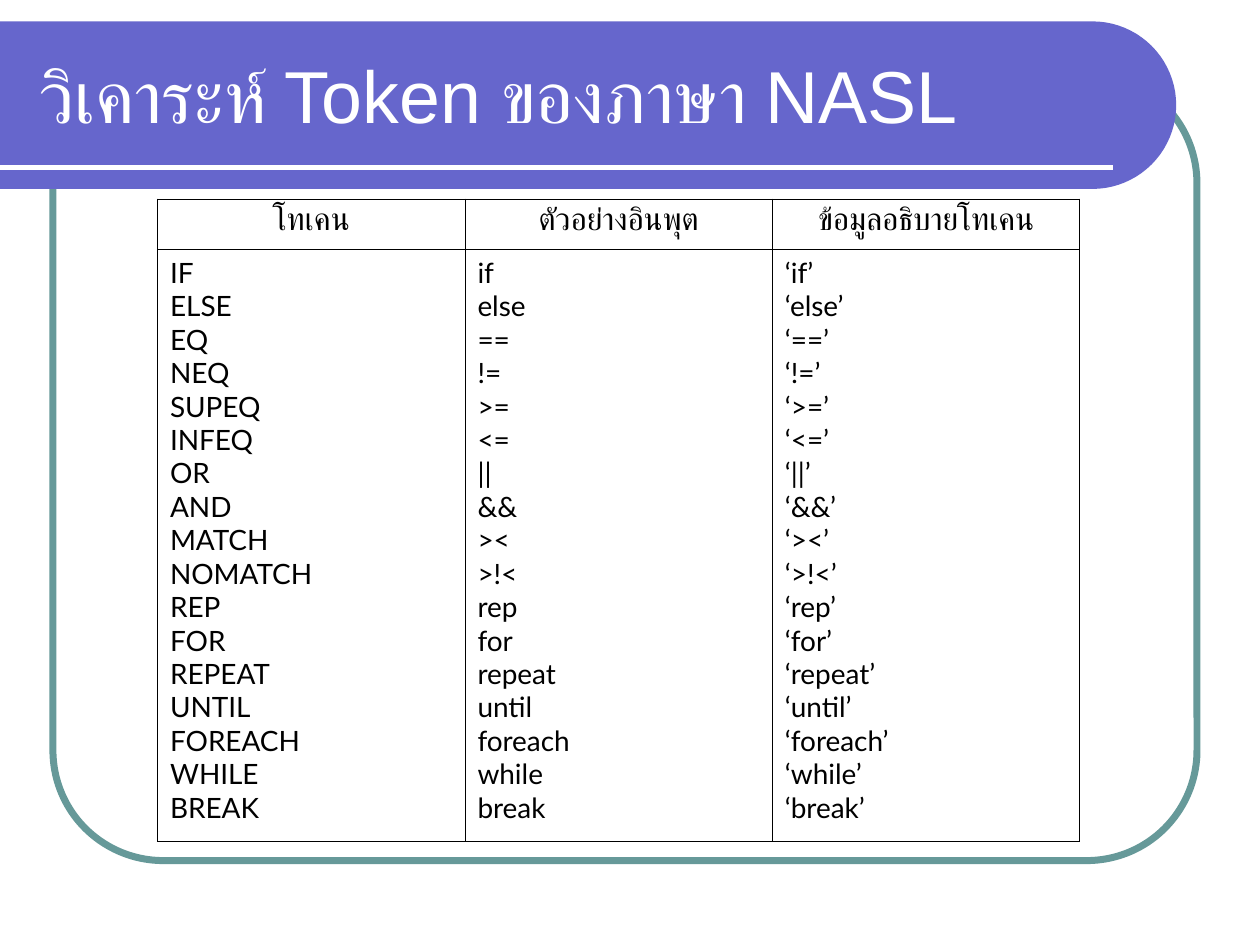
import math

import pptx
import pptx.dml.color
import pptx.enum.shapes
import pptx.enum.text
import pptx.oxml
import pptx.oxml.ns
import pptx.util

Inches = pptx.util.Inches
Pt = pptx.util.Pt


def paint(color_format, value):
    color_format.rgb = pptx.dml.color.RGBColor.from_string(value)


def write(para, text, size, face, color):
    span = para.add_run()
    span.text = text
    for name, value in {"size": Pt(size), "name": face, "bold": False}.items():
        setattr(span.font, name, value)
    paint(span.font.color, color)


deck = pptx.Presentation()
deck.slide_width, deck.slide_height = Inches(10), Inches(7.5)
page = deck.slides.add_slide(deck.slide_layouts[5])

# Rounded frame
frame = page.shapes.add_shape(
    pptx.enum.shapes.MSO_SHAPE.ROUNDED_RECTANGLE,
    Inches(0.42), Inches(0.58), Inches(9.08), Inches(6.25))
frame.adjustments[0] = 0.14
frame.shadow.inherit = False
frame.fill.background()
frame.line.width = Pt(4)
paint(frame.line.color, "669999")

# Banner with a half-round right end
top, bottom, bend = 0.17, 1.5, 8.67
radius = (bottom - top) / 2
steps = 40
curve = []
for step in range(steps + 1):
    angle = math.pi * (step / steps - 0.5)
    curve.append((Inches(bend + radius * math.cos(angle)),
                  Inches(top + radius + radius * math.sin(angle))))
builder = page.shapes.build_freeform(0, Inches(top))
builder.add_line_segments(curve + [(0, Inches(bottom))], close=True)
banner = builder.convert_to_shape()
banner.shadow.inherit = False
banner.fill.solid()
paint(banner.fill.fore_color, "6666CC")
banner.line.fill.background()

# White rule in the banner
rule = page.shapes.add_connector(
    pptx.enum.shapes.MSO_CONNECTOR.STRAIGHT,
    0, Inches(1.33), Inches(8.83), Inches(1.33))
rule.line.width = Pt(3)
paint(rule.line.color, "FFFFFF")
rule.element.spPr.append(pptx.oxml.parse_xml(
    f"<a:effectLst {pptx.oxml.ns.nsdecls('a')}/>"))

# Title, brought in front of the banner
title = page.shapes.title
title.element.getparent().append(title.element)
for name, value in {"left": 0.21, "top": 0.25, "width": 8.77, "height": 1}.items():
    setattr(title, name, Inches(value))
for name, value in {
    "word_wrap": True,
    "auto_size": pptx.enum.text.MSO_AUTO_SIZE.NONE,
    "vertical_anchor": pptx.enum.text.MSO_ANCHOR.MIDDLE,
}.items():
    setattr(title.text_frame, name, value)
para = title.text_frame.paragraphs[0]
para.alignment = pptx.enum.text.PP_ALIGN.LEFT
write(para, "วิเคาระห์ Token ของภาษา NASL", 42, "Arial", "FFFFFF")

# Token table: a header row and one tall row of lists
headers = ["โทเคน", "ตัวอย่างอินพุต", "ข้อมูลอธิบายโทเคน"]
tokens = ["IF", "ELSE", "EQ", "NEQ", "SUPEQ", "INFEQ", "OR", "AND", "MATCH",
          "NOMATCH", "REP", "FOR", "REPEAT", "UNTIL", "FOREACH", "WHILE", "BREAK"]
symbols = {"EQ": "==", "NEQ": "!=", "SUPEQ": ">=", "INFEQ": "<=", "OR": "||",
           "AND": "&&", "MATCH": "><", "NOMATCH": ">!<"}
inputs = [symbols.get(token, token.lower()) for token in tokens]
quoted = [f"‘{sample}’" for sample in inputs]
rows = [[[header] for header in headers], [tokens, inputs, quoted]]
row_formats = [
    (0.4, 18, pptx.enum.text.PP_ALIGN.CENTER),
    (4.7, 16, pptx.enum.text.PP_ALIGN.LEFT),
]

table = page.shapes.add_table(
    2, 3, Inches(1.25), Inches(1.58), Inches(7.33), Inches(5.1)).table
table.first_row = table.horz_banding = False
for column in table.columns:
    column.width = Inches(2.44)

for row, lists, (height, size, alignment) in zip(table.rows, rows, row_formats):
    row.height = Inches(height)
    for cell, lines in zip(row.cells, lists):
        for side in ("L", "R", "T", "B"):
            cell._tc.get_or_add_tcPr().append(pptx.oxml.parse_xml(
                f'<a:ln{side} {pptx.oxml.ns.nsdecls("a")} w="{Pt(0.45)}">'
                '<a:solidFill><a:srgbClr val="000000"/></a:solidFill>'
                f'</a:ln{side}>'))
        cell.fill.background()
        for index, line in enumerate(lines):
            box = cell.text_frame
            para = box.add_paragraph() if index else box.paragraphs[0]
            para.alignment = alignment
            indent = para._p.get_or_add_pPr()
            indent.set("marL", str(Inches(0.38)))
            indent.set("indent", str(Inches(-0.38)))
            write(para, line, size, "Lato", "000000")

deck.save("out.pptx")
